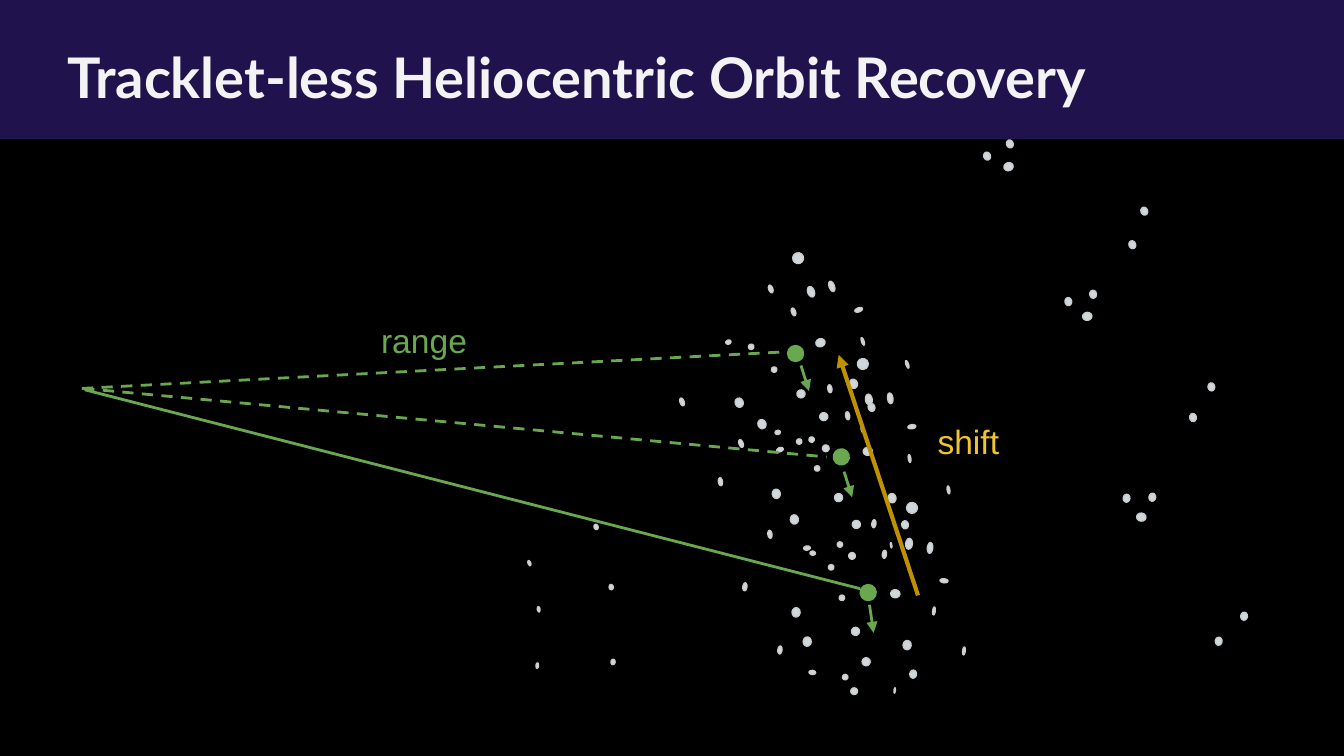
"""Build the slide on tracklet-less heliocentric orbit recovery."""
import math
from dataclasses import dataclass

from pptx import Presentation
from pptx import util as u
from pptx.dml import color as c
from pptx.enum import dml, shapes, text
from pptx.oxml import ns
from lxml import etree


@dataclass(frozen=True)
class Theme:
    """Colours, fonts and type sizes of the slide."""
    background: str = "20124D"
    sky: str = "000000"
    title: str = "F3F3F3"
    dot_fill: str = "CFD8DC"
    dot_line: str = "CCCCCC"
    orbit: str = "6AA84F"
    shift_arrow: str = "BF9000"
    shift_label: str = "F1C232"
    title_font: str = "Lato"
    label_font: str = "Arial"
    title_size: float = 30
    label_size: float = 18
    outline: float = 0.75


THEME = Theme()
DOT_TILT = 160.4
BODY_SIZE = 8.6

# Each dot: offset x and y from the tracked body, then width and height.
DOTS = [
    (-23.8, -3.6, 2.9, 2.9), (-11.5, 8.6, 2.9, 2.9), (-30.2, 26.3, 4.3, 5),
    (13.3, -5.8, 5, 4.3), (33.8, -23.4, 4.3, 2.2), (-106.9, 92.9, 2.2, 2.9),
    (2.9, 21.6, 4.3, 4.3), (-13.3, -34.6, 2.2, 4.3), (31, 16.2, 4.3, 5),
    (16.2, 50.8, 3.6, 3.6), (8.6, 46.1, 2.9, 2.9), (8.3, -33.1, 3.6, 5.8),
    (19.4, -36, 2.9, 5.8), (-8.3, 51.5, 3.6, 2.2), (40.7, 28.8, 3.6, 4.3),
    (36, -6.5, 1.4, 4.3), (-29.2, 48.2, 2.2, 4.3), (35.6, 41, 0.7, 2.9),
    (114.1, -100.1, 5, 4.3), (114.8, -112.3, 3.6, 4.3), (-36, -6.1, 2.9, 2.2),
    (15.1, 33.8, 4.3, 4.3), (-1.1, -22.3, 2.2, 4.3), (1.4, -51.1, 5.8, 5.8),
    (59.8, 5.8, 1.4, 4.3), (-18, 37.8, 4.3, 5), (180.4, -58.3, 3.6, 4.3),
    (102.6, -105.8, 3.6, 4.3), (-142.6, 112.3, 1.4, 2.9),
    (-60.8, 25.9, 2.2, 4.3), (186.8, -76.3, 3.6, 4.3),
]

# Each epoch: body centre, turn of the field, sight line, dashed, motion arrow.
EPOCHS = [
    ((426.2, 189.4), 0, (43.9, 208.1, 419, 188.6), True,
     (429.1, 195.8, 433.4, 209.5)),
    ((450.7, 244.8), 11.5, (44.6, 208.1, 442.8, 244.8), True,
     (452.2, 252.7, 456.5, 266.4)),
    ((465.1, 317.5), 25.8, (45.4, 208.8, 460.8, 315.4), False,
     (465.8, 324, 468, 339.1)),
]


def points(*lengths):
    """Turn numbers into point lengths."""
    return [u.Pt(length) for length in lengths]


def rgb(code):
    """Return the colour for a hex code."""
    return c.RGBColor.from_string(code)


def add_filled(parent, kind, box, fill, line):
    """Add a preset shape with a plain fill and outline."""
    shape = parent.add_shape(kind, *points(*box))
    shape.shadow.inherit = False
    shape.fill.solid()
    shape.fill.fore_color.rgb = rgb(fill)
    shape.line.color.rgb = rgb(line)
    shape.line.width = u.Pt(THEME.outline)
    return shape


def add_ellipse(parent, centre, size, fill, line, rotation):
    """Add an ellipse about its centre."""
    (x, y), (width, height) = centre, size
    box = (x - width / 2, y - height / 2, width, height)
    shape = add_filled(parent, shapes.MSO_SHAPE.OVAL, box, fill, line)
    shape.rotation = rotation


def add_field(slide, centre, turn):
    """Add the dots and the tracked body, turned about the body."""
    group = slide.shapes.add_group_shape().shapes
    cosine, sine = math.cos(math.radians(turn)), math.sin(math.radians(turn))
    for x, y, width, height in DOTS:
        place = (centre[0] + x * cosine - y * sine,
                 centre[1] + x * sine + y * cosine)
        add_ellipse(group, place, (width, height), THEME.dot_fill,
                    THEME.dot_line, DOT_TILT + turn)
    add_ellipse(group, centre, (BODY_SIZE, BODY_SIZE), THEME.orbit,
                THEME.orbit, turn)


def add_line(slide, ends, color, width, dashed=False, arrow=False):
    """Add a straight line, dashed or with an arrowhead if wanted."""
    connector = slide.shapes.add_connector(
        shapes.MSO_CONNECTOR.STRAIGHT, *points(*ends))
    connector.line.color.rgb = rgb(color)
    connector.line.width = u.Pt(width)
    if dashed:
        connector.line.dash_style = dml.MSO_LINE.DASH
    if arrow:
        etree.SubElement(connector.line._get_or_add_ln(),
                         ns.qn("a:tailEnd"), type="triangle")
    etree.SubElement(connector._element.spPr, ns.qn("a:effectLst"))


def set_text(shape, words, font, size, color, alignment, anchor, bold=False):
    """Write one formatted line of text into a shape."""
    frame = shape.text_frame
    frame.text = words
    frame.word_wrap = True
    frame.auto_size = text.MSO_AUTO_SIZE.NONE
    frame.vertical_anchor = anchor
    frame.margin_left = frame.margin_right = u.Pt(7.2)
    frame.margin_top = frame.margin_bottom = u.Pt(7.2)
    paragraph = frame.paragraphs[0]
    paragraph.alignment = alignment
    for run in paragraph.runs:
        run.font.name = font
        run.font.size = u.Pt(size)
        run.font.bold = bold
        run.font.color.rgb = rgb(color)


def add_title(slide, words):
    """Place and format the title placeholder."""
    title = slide.shapes.title
    title.left, title.top, title.width, title.height = points(
        28.8, 10.8, 633.6, 59.8)
    set_text(title, words, THEME.title_font, THEME.title_size, THEME.title,
             text.PP_ALIGN.LEFT, text.MSO_ANCHOR.MIDDLE, bold=True)


def add_label(slide, words, box, color):
    """Add a centred label."""
    label = slide.shapes.add_textbox(*points(*box))
    set_text(label, words, THEME.label_font, THEME.label_size, color,
             text.PP_ALIGN.CENTER, text.MSO_ANCHOR.TOP)


def main():
    """Build and save the slide."""
    presentation = Presentation()
    presentation.slide_width, presentation.slide_height = points(720, 405)
    slide = presentation.slides.add_slide(presentation.slide_layouts[5])
    slide.background.fill.solid()
    slide.background.fill.fore_color.rgb = rgb(THEME.background)
    add_filled(slide.shapes, shapes.MSO_SHAPE.RECTANGLE,
               (0, 74.9, 720, 331.9), THEME.sky, THEME.sky)
    add_title(slide, "Tracklet-less Heliocentric Orbit Recovery")
    for centre, turn, sight, dashed, motion in EPOCHS:
        add_field(slide, centre, turn)
        add_line(slide, sight, THEME.orbit, 1.5, dashed=dashed)
        add_line(slide, motion, THEME.orbit, 1.5, arrow=True)
    add_line(slide, (491.8, 319, 449.3, 190.1), THEME.shift_arrow, 2.25,
             arrow=True)
    add_label(slide, "range", (105.1, 164.2, 244.1, 83.5), THEME.orbit)
    add_label(slide, "shift", (403.9, 218.2, 229.7, 83.5), THEME.shift_label)
    presentation.save("out.pptx")


if __name__ == "__main__":
    main()
